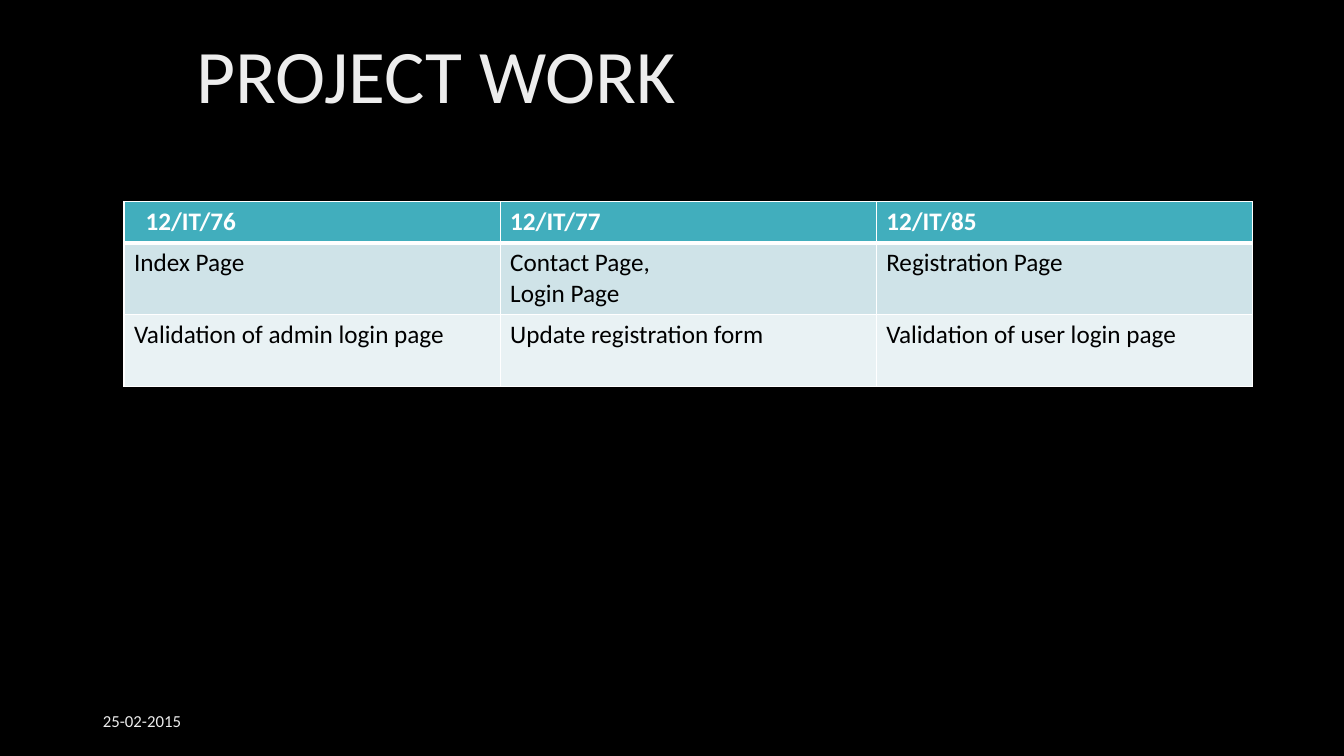
import dataclasses

import lxml.etree
import pptx
import pptx.dml.color
import pptx.enum.text
import pptx.oxml.ns
import pptx.presentation
import pptx.slide
import pptx.table
import pptx.text.text
import pptx.util


@dataclasses.dataclass(frozen=True)
class Theme:
    font: str = "Calibri"
    background: str = "000000"
    light_text: str = "EDEDED"
    header_text: str = "FFFFFF"
    body_text: str = "000000"
    border: str = "FFFFFF"
    row_fills: tuple[str, ...] = ("41AEBD", "CFE3E8", "E9F2F4")
    title_size: int = 54
    table_size: int = 18
    date_size: int = 12
    border_width: int = 1
    header_rule_width: int = 3


@dataclasses.dataclass(frozen=True)
class Area:
    left: float
    top: float
    width: float
    height: float


@dataclasses.dataclass(frozen=True)
class Label:
    text: str
    area: Area
    size: int
    inset: float
    line_spacing: float


THEME = Theme()
SLIDE_WIDTH = pptx.util.Inches(13.33)
SLIDE_HEIGHT = pptx.util.Inches(7.5)

LABELS = (
    Label("PROJECT WORK", Area(5.4, 0.8, 86.27, 19.33), THEME.title_size, 9.2, 0.9),
    Label("25-02-2015", Area(6.9, 92.67, 22.5, 5.33), THEME.date_size, 0.75, 1.0),
)

TABLE_AREA = Area(9.23, 26.67, 83.95, 24.4)
ROW_HEIGHTS = (5.46, 9.47, 9.47)
FIRST_HEADER_INSET = 1.6
WORK_ROWS = (
    (("12/IT/76",), ("12/IT/77",), ("12/IT/85",)),
    (("Index Page",), ("Contact Page,", "Login Page"), ("Registration Page",)),
    (
        ("Validation of admin login page",),
        ("Update registration form",),
        ("Validation of user login page",),
    ),
)


def across(percent: float) -> pptx.util.Emu:
    return pptx.util.Emu(round(SLIDE_WIDTH * percent / 100))


def down(percent: float) -> pptx.util.Emu:
    return pptx.util.Emu(round(SLIDE_HEIGHT * percent / 100))


def place(area: Area) -> tuple[pptx.util.Emu, ...]:
    return across(area.left), down(area.top), across(area.width), down(area.height)


def rgb(color: str) -> pptx.dml.color.RGBColor:
    return pptx.dml.color.RGBColor.from_string(color)


def add_run(
    paragraph: pptx.text.text._Paragraph,
    text: str,
    size: int,
    color: str,
    bold: bool = False,
) -> None:
    run = paragraph.add_run()
    run.text = text
    run.font.name = THEME.font
    run.font.size = pptx.util.Pt(size)
    run.font.bold = bold
    run.font.color.rgb = rgb(color)


def add_label(slide: pptx.slide.Slide, label: Label) -> None:
    shape = slide.shapes.add_textbox(*place(label.area))
    frame = shape.text_frame
    frame.word_wrap = True
    frame.vertical_anchor = pptx.enum.text.MSO_ANCHOR.MIDDLE
    frame.margin_left = across(label.inset)
    paragraph = frame.paragraphs[0]
    paragraph.line_spacing = label.line_spacing
    add_run(paragraph, label.text, label.size, THEME.light_text)


def add_border(cell: pptx.table._Cell, side: str, width: int) -> None:
    qualify = pptx.oxml.ns.qn
    line = lxml.etree.SubElement(
        cell._tc.get_or_add_tcPr(),
        qualify(f"a:ln{side}"),
        w=str(pptx.util.Pt(width)),
    )
    fill = lxml.etree.SubElement(line, qualify("a:solidFill"))
    lxml.etree.SubElement(fill, qualify("a:srgbClr"), val=THEME.border)


def fill_cell(cell: pptx.table._Cell, lines: tuple[str, ...], row: int) -> None:
    is_header = row == 0
    rule_side = {0: "B", 1: "T"}.get(row)
    for side in "LRTB":
        is_rule = side == rule_side
        add_border(
            cell, side, THEME.header_rule_width if is_rule else THEME.border_width
        )
    cell.fill.solid()
    cell.fill.fore_color.rgb = rgb(THEME.row_fills[row])
    frame = cell.text_frame
    for index, line in enumerate(lines):
        paragraph = frame.add_paragraph() if index else frame.paragraphs[0]
        color = THEME.header_text if is_header else THEME.body_text
        add_run(paragraph, line, THEME.table_size, color, is_header)


def add_work_table(slide: pptx.slide.Slide) -> None:
    column_count = len(WORK_ROWS[0])
    table = slide.shapes.add_table(
        len(WORK_ROWS), column_count, *place(TABLE_AREA)
    ).table
    table.horz_banding = False
    for column in table.columns:
        column.width = across(TABLE_AREA.width / column_count)
    for row, (height, cells) in enumerate(zip(ROW_HEIGHTS, WORK_ROWS)):
        table.rows[row].height = down(height)
        for column, lines in enumerate(cells):
            fill_cell(table.cell(row, column), lines, row)
    table.cell(0, 0).margin_left = across(FIRST_HEADER_INSET)


def main() -> None:
    presentation = pptx.Presentation()
    presentation.slide_width = SLIDE_WIDTH
    presentation.slide_height = SLIDE_HEIGHT
    slide = presentation.slides.add_slide(presentation.slide_layouts[6])
    slide.background.fill.solid()
    slide.background.fill.fore_color.rgb = rgb(THEME.background)
    title, date = LABELS
    add_label(slide, title)
    add_work_table(slide)
    add_label(slide, date)
    presentation.save("out.pptx")


if __name__ == "__main__":
    main()
